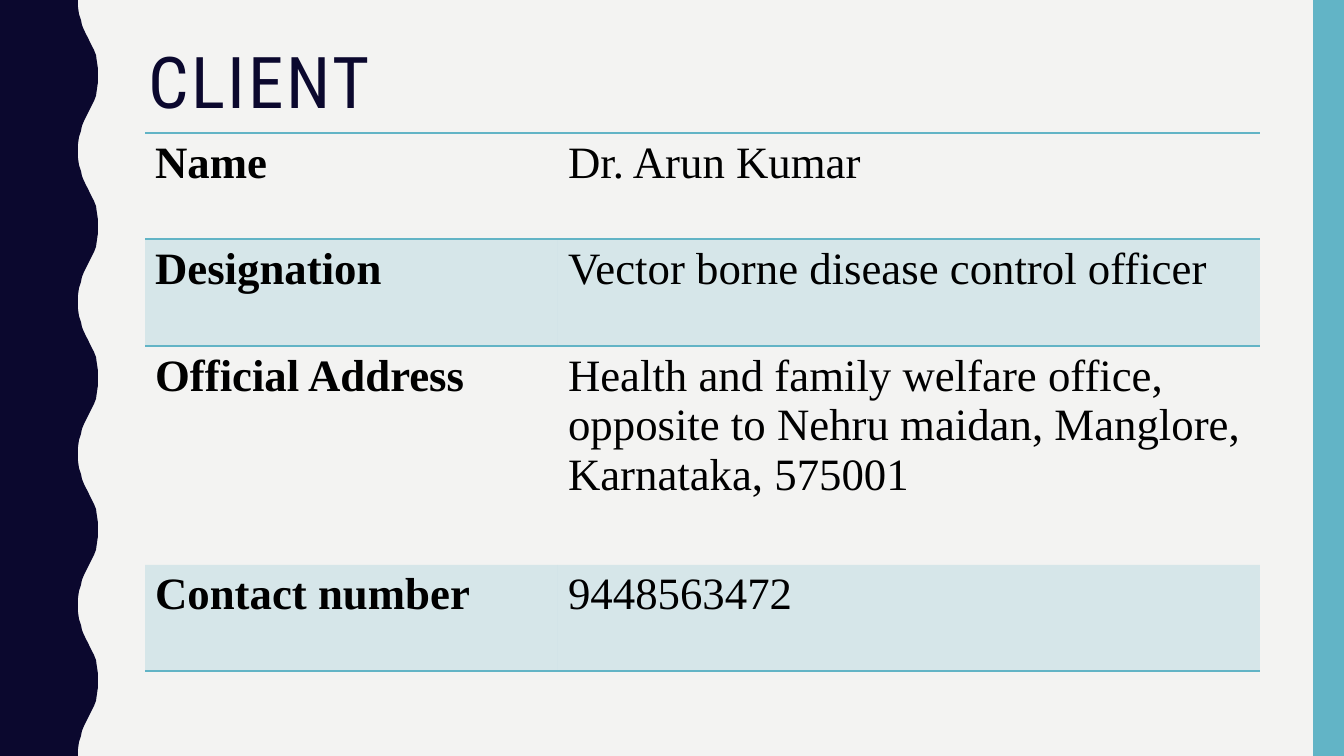
from lxml import etree
from pptx import Presentation
from pptx.dml.color import RGBColor
from pptx.enum.shapes import MSO_SHAPE
from pptx.enum.text import MSO_ANCHOR, MSO_AUTO_SIZE, PP_ALIGN
from pptx.oxml import parse_xml
from pptx.oxml.ns import nsdecls, qn
from pptx.util import Pt

PX = 914400 / 100.8
NAVY = RGBColor(0x0B, 0x08, 0x2E)
TEAL = RGBColor(0x62, 0xB4, 0xC6)
PAPER = RGBColor(0xF3, 0xF3, 0xF2)
BLACK = RGBColor(0x00, 0x00, 0x00)
RECTANGLE = MSO_SHAPE.RECTANGLE
TOP = MSO_ANCHOR.TOP
LEFT = PP_ALIGN.LEFT
NO_AUTOFIT = MSO_AUTO_SIZE.NONE
PLAIN_TABLE_STYLE = "{2D5ABB26-0587-4C30-8999-92F81FD0307C}"
WIDTH, HEIGHT = 1344, 756


def px(*lengths):
    return [round(length * PX) for length in lengths]


def paint(shape, color):
    shape.shadow.inherit = False
    shape.fill.solid()
    shape.fill.fore_color.rgb = color
    shape.line.fill.background()


deck = Presentation()
deck.slide_width, deck.slide_height = px(WIDTH, HEIGHT)
page = deck.slides.add_slide(deck.slide_layouts[5])
page.background.fill.solid()
page.background.fill.fore_color.rgb = PAPER

# Wavy band on the left: each wave swells, then mirrors back
WAVES = 5
SWELL = [(78, 0), (78, 7), (79, 14), (81, 20), (82, 25), (84, 30), (86, 34), (88, 38),
         (90, 42), (92, 46), (94, 50), (96, 55), (97, 62), (98, 69), (98, 76)]
period = HEIGHT / WAVES
wave = SWELL + [(x, period - y) for x, y in reversed(SWELL)]
edge = [(x, round(number * period + y)) for number in range(WAVES) for x, y in wave]
builder = page.shapes.build_freeform(0, 0, scale=PX)
builder.add_line_segments(edge + [(0, HEIGHT)], close=True)
paint(builder.convert_to_shape(), NAVY)

# Stripe on the right
stripe = page.shapes.add_shape(RECTANGLE, *px(1313, 0, 31, HEIGHT))
paint(stripe, TEAL)

# Title
title = page.shapes.title
title.left, title.top, title.width, title.height = px(138, 42, 1122, 164)
frame = title.text_frame
frame.word_wrap = True
frame.auto_size = NO_AUTOFIT
frame.vertical_anchor = TOP
para = frame.paragraphs[0]
para.alignment = LEFT
para.line_spacing = 0.9
span = para.add_run()
span.text = "CLIENT"
span.font.name = "Roboto Condensed"
span.font.size = Pt(51)
span.font.color.rgb = NAVY
span.font._element.set("spc", "200")

# Client table: shaded every second row, rules around the first row and at the end
CLIENT = [
    ("Name", "Dr. Arun Kumar"),
    ("Designation", "Vector borne disease control officer"),
    ("Official Address", "Health and family welfare office, opposite to Nehru maidan, "
                         "Manglore, Karnataka, 575001"),
    ("Contact number", "9448563472"),
]
ROW_HEIGHTS = [106, 107, 219, 106]
COLUMN_WIDTHS = [413, 702]
RULES = {0: ("lnT", "lnB"), 1: ("lnT",), 3: ("lnB",)}

table = page.shapes.add_table(
    len(CLIENT), 2, *px(145, 133, sum(COLUMN_WIDTHS), sum(ROW_HEIGHTS))).table
table.first_row = False
table.horz_banding = False
table._tbl.tblPr.find(qn("a:tableStyleId")).text = PLAIN_TABLE_STYLE
for column, width in zip(table.columns, px(*COLUMN_WIDTHS)):
    column.width = width
for row, height in zip(table.rows, px(*ROW_HEIGHTS)):
    row.height = height

for row_number, texts in enumerate(CLIENT):
    for column_number, text in enumerate(texts):
        cell = table.cell(row_number, column_number)
        properties = cell._tc.get_or_add_tcPr()
        for side in RULES.get(row_number, ()):
            properties.append(parse_xml(
                f'<a:{side} {nsdecls("a")} w="12700"><a:solidFill>'
                f'<a:srgbClr val="{TEAL}"/></a:solidFill></a:{side}>'))
        if row_number % 2:
            cell.fill.solid()
            cell.fill.fore_color.rgb = TEAL
            tint = properties.find(qn("a:solidFill")).find(qn("a:srgbClr"))
            etree.SubElement(tint, qn("a:alpha")).set("val", "20000")
        else:
            cell.fill.background()
        span = cell.text_frame.paragraphs[0].add_run()
        span.text = text
        span.font.name = "Times New Roman"
        span.font.size = Pt(32)
        span.font.bold = column_number == 0
        span.font.color.rgb = BLACK

deck.save("out.pptx")
